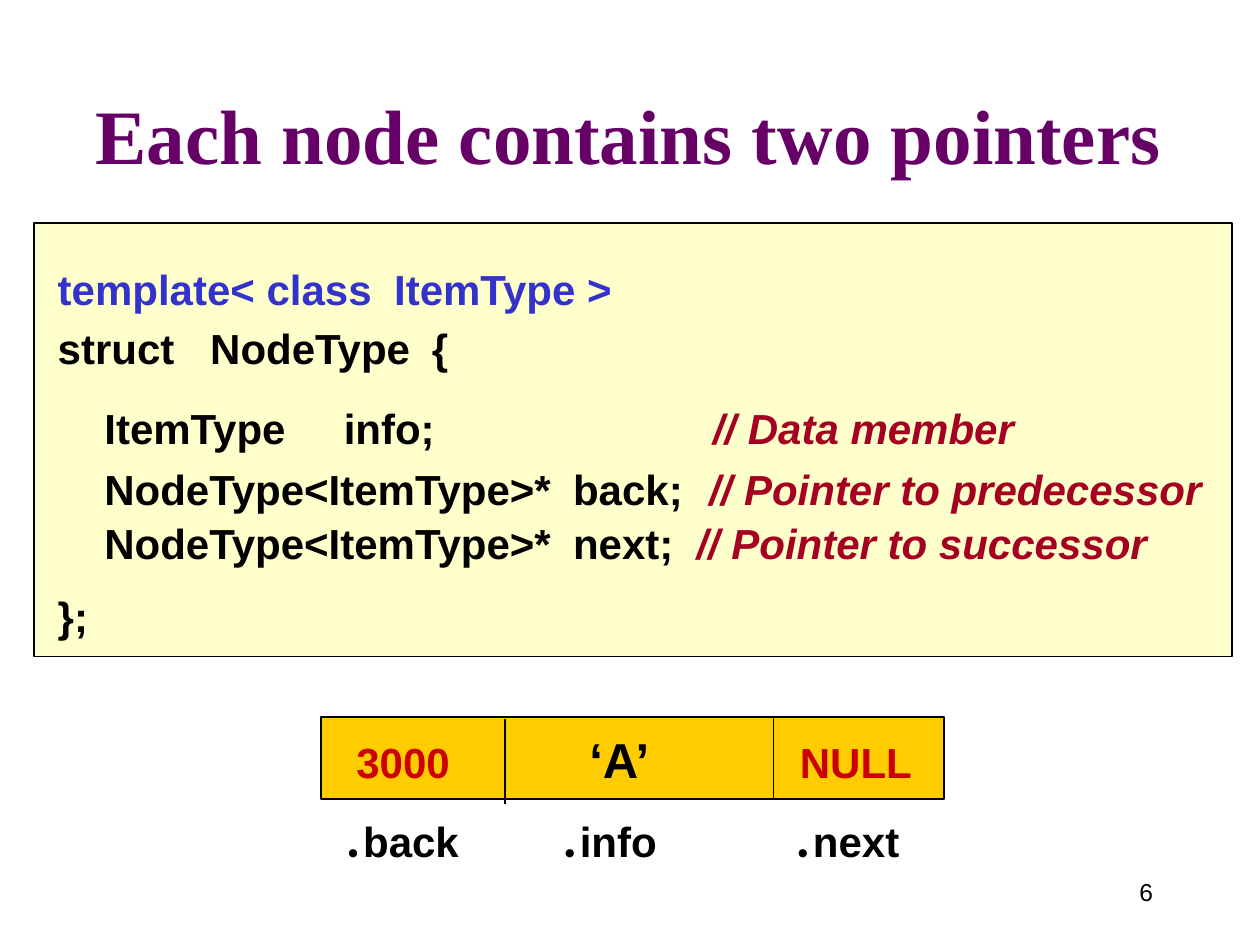
from dataclasses import dataclass

from lxml.etree import SubElement
from pptx import Presentation
from pptx.dml.color import RGBColor
from pptx.enum.shapes import MSO_CONNECTOR, MSO_SHAPE
from pptx.enum.text import MSO_ANCHOR, PP_ALIGN
from pptx.oxml.ns import qn
from pptx.util import Pt

SCALE = 9144  # EMU per px, 100 px to the inch


@dataclass(frozen=True)
class Theme:
    sans: str = "Arial"
    serif: str = "Times New Roman"
    dot_font: str = "Montserrat"
    black: str = "000000"
    title: str = "660066"
    keyword: str = "3333CC"
    comment: str = "A50021"
    pointer: str = "CC0000"
    code_fill: str = "FFFFCC"
    node_fill: str = "FFCC00"
    title_size: int = 44
    large: int = 28
    body: int = 24
    small: int = 14
    gap: int = 10


THEME = Theme()


def px(length):
    return round(length * SCALE)


def style(size=THEME.body, color=THEME.black, name=THEME.sans, bold=True, italic=False):
    return {"size": Pt(size), "name": name, "bold": bold, "italic": italic,
            "color": RGBColor.from_string(color)}


def add_run(paragraph, text, format_values):
    run = paragraph.add_run()
    run.text = text
    for key, value in format_values.items():
        if key == "color":
            run.font.color.rgb = value
        else:
            setattr(run.font, key, value)


def set_tabs(paragraph, stops):
    properties = paragraph._p.get_or_add_pPr()
    tab_list = SubElement(properties, qn("a:tabLst"))
    for stop in stops:
        SubElement(tab_list, qn("a:tab"), pos=str(px(stop)), algn="l")


def add_text(slide, box, lines, anchor=MSO_ANCHOR.TOP, align=PP_ALIGN.LEFT):
    """Each line is (space before in points, tab stops, runs)."""
    frame = slide.shapes.add_textbox(*map(px, box)).text_frame
    frame.word_wrap = True
    frame.vertical_anchor = anchor
    for index, (space, stops, runs) in enumerate(lines):
        paragraph = frame.add_paragraph() if index else frame.paragraphs[0]
        paragraph.alignment = align
        paragraph.space_before = Pt(space)
        if stops:
            set_tabs(paragraph, stops)
        for text, format_values in runs:
            add_run(paragraph, text, format_values)


def add_panel(slide, box, fill):
    panel = slide.shapes.add_shape(MSO_SHAPE.RECTANGLE, *map(px, box))
    panel.shadow.inherit = False
    panel.fill.solid()
    panel.fill.fore_color.rgb = RGBColor.from_string(fill)
    panel.line.color.rgb = RGBColor.from_string(THEME.black)
    panel.line.width = Pt(1)


def add_divider(slide, x, top, bottom):
    divider = slide.shapes.add_connector(
        MSO_CONNECTOR.STRAIGHT, px(x), px(top), px(x), px(bottom))
    divider.line.color.rgb = RGBColor.from_string(THEME.black)
    divider.line.width = Pt(1)
    SubElement(divider._element.spPr, qn("a:effectLst"))


def add_title(slide, box):
    title = style(THEME.title_size, THEME.title, THEME.serif)
    add_text(slide, box, [(0, (), [("Each node contains two pointers", title)])],
             MSO_ANCHOR.BOTTOM, PP_ALIGN.CENTER)


def add_code(slide, box):
    left, top, width, height = box
    add_panel(slide, box, THEME.code_fill)
    code, keyword = style(), style(color=THEME.keyword)
    comment = style(color=THEME.comment, italic=True)
    indent, member = 37, 409
    lines = [
        (0, (267,), [("template< class\tItemType >", keyword)]),
        (5, (121, 297), [("struct\tNodeType\t{", code)]),
        (17, (indent, 227, 520),
         [("\tItemType\tinfo;", code), ("\t// Data member", comment)]),
        (6, (indent, member, 517),
         [("\tNodeType<ItemType>*\tback;", code),
          ("\t// Pointer to predecessor", comment)]),
        (2, (indent, member, 507),
         [("\tNodeType<ItemType>*\tnext;", code),
          ("\t// Pointer to successor", comment)]),
        (13, (), [("};", code)]),
    ]
    add_text(slide, (left + 9, top + 27, width - 10, height - 49), lines)


def add_node(slide, box):
    left, top, width, height = box
    add_panel(slide, box, THEME.node_fill)
    # Borders between the three fields
    add_divider(slide, left + 146, top + 2, top + height + 4)
    add_divider(slide, left + 359, top, top + height + 1)
    # Field values
    pointer = style(color=THEME.pointer)
    values = [("\t3000", pointer), ("\t‘A’", style(THEME.large)), ("\tNULL", pointer)]
    add_text(slide, (left + 8, top + 5, width - 20, 57),
             [(0, (10, 195, 362), values)])
    # Field names
    labels = []
    for name in ("back", "info", "next"):
        labels += [("\t.", style(name=THEME.dot_font)),
                   (" ", style(THEME.gap, name=THEME.dot_font, bold=False)),
                   (name, style())]
    add_text(slide, (left + 2, top + 73, width - 15, 50),
             [(0, (9, 181, 366), labels)])


def add_slide_number(slide, box):
    number = style(THEME.small, bold=False)
    add_text(slide, box, [(0, (), [("6", number)])],
             MSO_ANCHOR.MIDDLE, PP_ALIGN.RIGHT)


def main():
    presentation = Presentation()
    presentation.slide_width, presentation.slide_height = px(1000), px(750)
    slide = presentation.slides.add_slide(presentation.slide_layouts[6])
    add_slide_number(slide, (858, 683, 67, 50))
    add_title(slide, (51, 23, 896, 125))
    add_code(slide, (27, 177, 951, 344))
    add_node(slide, (255, 569, 494, 65))
    presentation.save("out.pptx")


if __name__ == "__main__":
    main()
